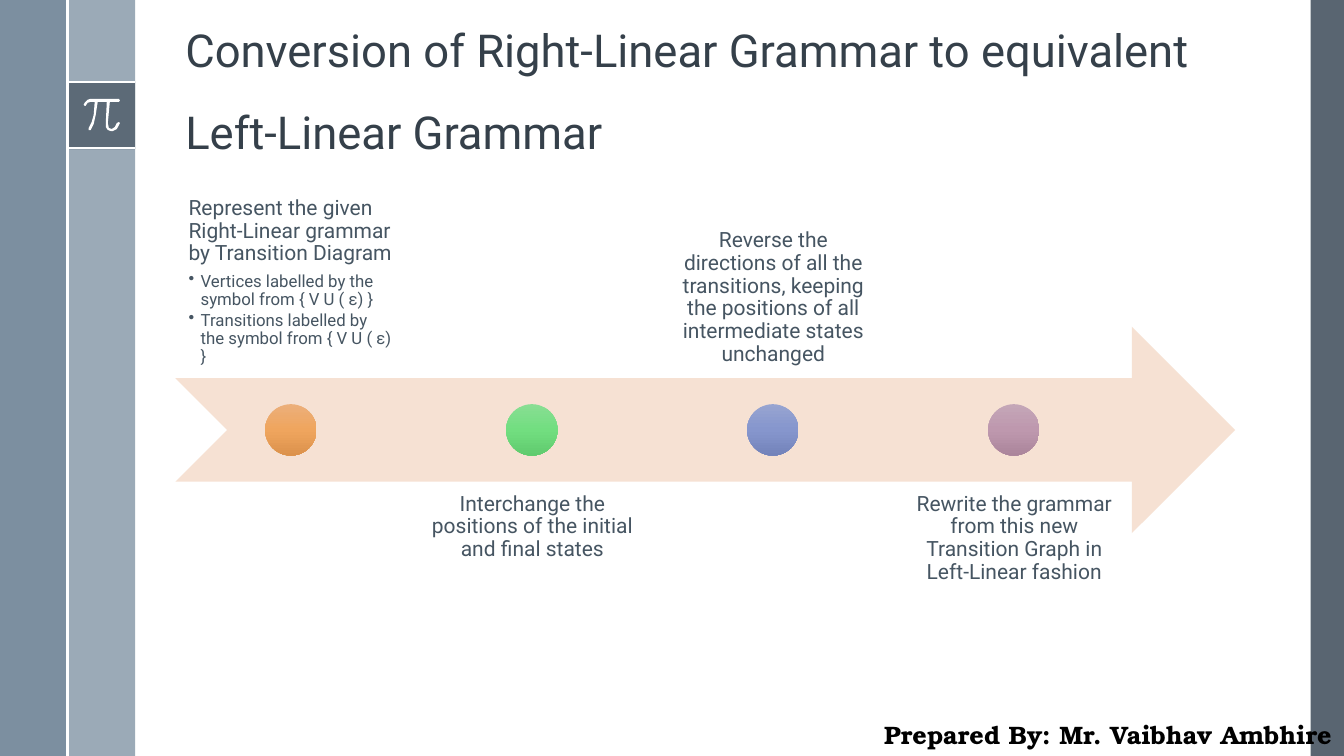
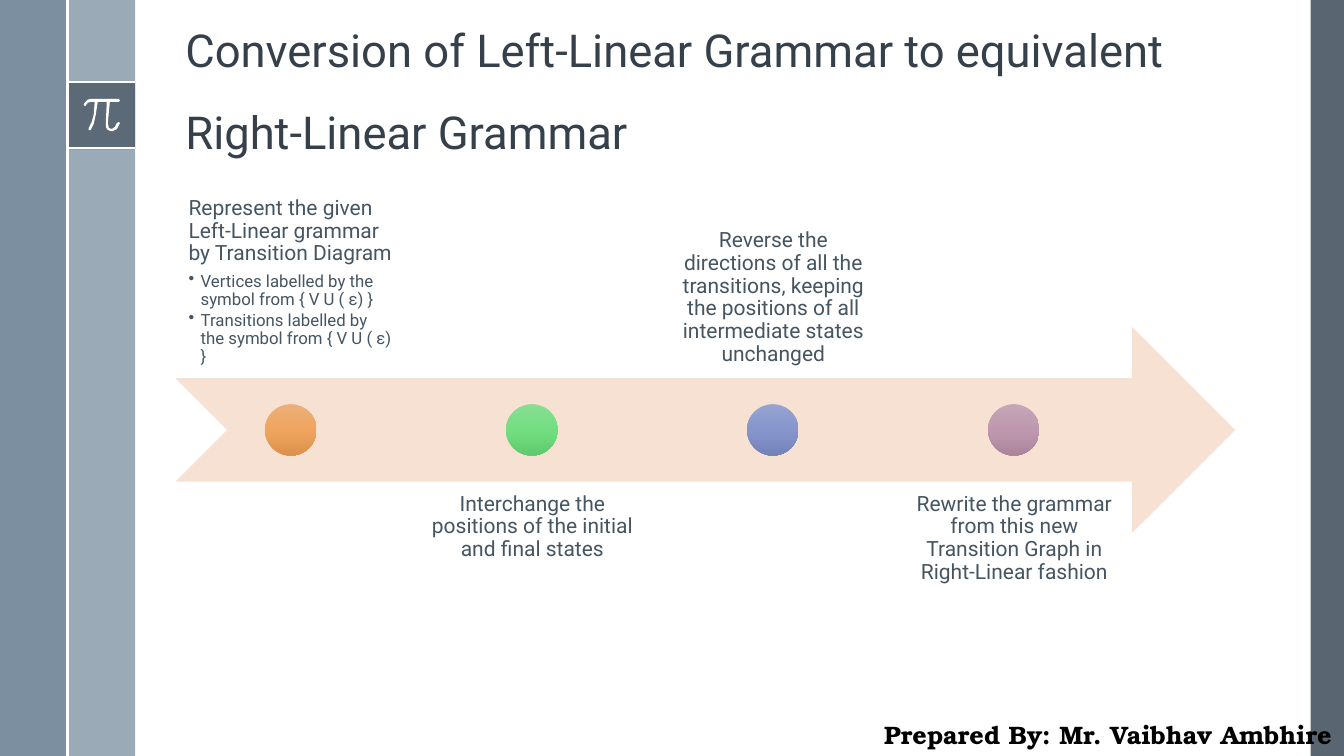
from copy import deepcopy
from dataclasses import dataclass

from lxml.etree import SubElement
from pptx import Presentation
from pptx.dml.color import RGBColor
from pptx.enum.shapes import MSO_CONNECTOR, MSO_SHAPE
from pptx.enum.text import MSO_ANCHOR, PP_ALIGN
from pptx.oxml.ns import qn
from pptx.util import Inches, Pt


@dataclass(frozen=True)
class Theme:
    """Colours, fonts and type sizes of the presentation."""

    white: str = "FFFFFF"
    slate: str = "475562"
    steel: str = "6A8093"
    mist: str = "9BAAB7"
    arrow: str = "F6E1D3"
    title: str = "35404A"
    body: str = "465562"
    footer: str = "000000"
    dots: tuple = (
        ("ECAF7A", "EFA55E", "DC924C"),
        ("88DE93", "72DE80", "60CB6E"),
        ("97A4D1", "8696CD", "7383BA"),
        ("C4A6B7", "BE98AE", "AB859B"),
    )
    font: str = "Roboto"
    footer_font: str = "TeX Gyre Bonum"
    title_size: float = 32.4
    step_size: float = 15
    bullet_size: float = 12
    footer_size: float = 18
    rule_width: float = 1.5


PI_OUTLINE = (
    (118, 98), (90, 98), (87, 99), (84, 102), (83, 104), (84, 105), (85, 105),
    (87, 102), (90, 101), (94, 101), (93, 114), (91, 121), (88, 127), (88, 129),
    (90, 129), (93, 123), (95, 114), (97, 101), (106, 101), (105, 122),
    (105, 126), (107, 129), (110, 130), (112, 130), (116, 128), (119, 122),
    (118, 121), (116, 122), (114, 126), (111, 128), (108, 127), (107, 122),
    (109, 101), (118, 101), (119, 100),
)
FOOTER = "Prepared By: Mr. Vaibhav Ambhire"
BULLETS = (
    "Vertices labelled by the symbol from { V U ( ε) }",
    "Transitions labelled by the symbol from { V U ( ε) }",
)
STEP_LEFT, STEP_PITCH = 1.75, 2.39
STEP_WIDTH, STEP_HEIGHT = 2.28, 2.05
ABOVE_TOP, BELOW_TOP = 1.7, 4.77
DOT_OFFSET, DOT_TOP, DOT_SIZE = 0.88, 4.01, 0.51


def assign(target, values):
    """Set each named attribute of the target."""
    for name, value in values.items():
        setattr(target, name, value)


class Deck:
    """Hold the theme and the current slide, and draw elements on it."""

    def __init__(self, theme):
        """Start an empty widescreen presentation."""
        self.theme = theme
        self.presentation = Presentation()
        assign(self.presentation, {"slide_width": Inches(13.33), "slide_height": Inches(7.5)})
        self.slide = None

    def paint(self, shape, color, opacity=100):
        """Give the shape a flat fill without outline or shadow."""
        shape.shadow.inherit = False
        shape.line.fill.background()
        shape.fill.solid()
        shape.fill.fore_color.rgb = RGBColor.from_string(color)
        if opacity < 100:
            color_node = shape.element.spPr.find(".//" + qn("a:srgbClr"))
            SubElement(color_node, qn("a:alpha"), val=str(opacity * 1000))

    def shape(self, kind, box, color, opacity=100):
        """Add a filled preset shape."""
        shape = self.slide.shapes.add_shape(kind, *map(Inches, box))
        self.paint(shape, color, opacity)
        return shape

    def rule(self, start, end):
        """Add a thin white line."""
        connector = self.slide.shapes.add_connector(
            MSO_CONNECTOR.STRAIGHT, *map(Inches, start + end))
        connector.line.color.rgb = RGBColor.from_string(self.theme.white)
        connector.line.width = Pt(self.theme.rule_width)
        SubElement(connector.element.spPr, qn("a:effectLst"))

    def pi_sign(self):
        """Draw the pi sign in the sidebar tile."""
        builder = self.slide.shapes.build_freeform(*PI_OUTLINE[0], scale=Inches(0.01))
        builder.add_line_segments(PI_OUTLINE[1:], close=True)
        self.paint(builder.convert_to_shape(), self.theme.white)

    def text_box(self, box, anchor=MSO_ANCHOR.TOP, inset=None):
        """Add a wrapping text box and return its frame."""
        frame = self.slide.shapes.add_textbox(*map(Inches, box)).text_frame
        assign(frame, {"word_wrap": True, "vertical_anchor": anchor})
        if inset is not None:
            sides = ("left", "top", "right", "bottom")
            assign(frame, {f"margin_{side}": Inches(inset) for side in sides})
        return frame

    def fill_paragraph(self, paragraph, text, size, color, name=None, bold=False, **layout):
        """Put one formatted run into the paragraph."""
        assign(paragraph, layout)
        run = paragraph.add_run()
        run.text = text
        assign(run.font, {"name": name or self.theme.font, "size": Pt(size), "bold": bold})
        run.font.color.rgb = RGBColor.from_string(color)

    def bullet(self, frame, text):
        """Append a bulleted paragraph to the frame."""
        paragraph = frame.add_paragraph()
        self.fill_paragraph(paragraph, text, self.theme.bullet_size, self.theme.body,
                            level=1, line_spacing=0.9, space_after=Pt(1.8))
        properties = paragraph._p.get_or_add_pPr()
        indent = Inches(0.12)
        properties.set("marL", str(indent))
        properties.set("indent", str(-indent))
        SubElement(properties, qn("a:buChar"), char="•")

    def dot(self, left, colors):
        """Add a round marker with a vertical gradient."""
        shape = self.shape(MSO_SHAPE.OVAL, (left, DOT_TOP, DOT_SIZE, DOT_SIZE), colors[0])
        shape.fill.gradient()
        shape.fill.gradient_angle = 270
        stop_list = shape.element.spPr.find(".//" + qn("a:gsLst"))
        stop_list.insert(1, deepcopy(stop_list[0]))
        for stop, position, color in zip(shape.fill.gradient_stops, (0, 0.5, 1), colors):
            stop.position = position
            stop.color.rgb = RGBColor.from_string(color)

    def step(self, index, text, bullets=()):
        """Add a process step, alternating above and below the arrow."""
        left = STEP_LEFT + index * STEP_PITCH
        top, anchor = ((BELOW_TOP, MSO_ANCHOR.TOP) if index % 2
                       else (ABOVE_TOP, MSO_ANCHOR.BOTTOM))
        frame = self.text_box((left, top, STEP_WIDTH, STEP_HEIGHT), anchor, 0.12)
        self.fill_paragraph(frame.paragraphs[0], text, self.theme.step_size, self.theme.body,
                            alignment=PP_ALIGN.LEFT if bullets else PP_ALIGN.CENTER,
                            line_spacing=0.9, space_after=Pt(5.25))
        for bullet in bullets:
            self.bullet(frame, bullet)
        self.dot(left + DOT_OFFSET, self.theme.dots[index])

    def new_slide(self, title):
        """Add a slide with the shared bands, footer and title."""
        theme = self.theme
        self.slide = self.presentation.slides.add_slide(self.presentation.slide_layouts[6])
        for box, color, opacity in (
            ((13, 0, 0.33, 7.5), theme.slate, 90),
            ((0.67, 0, 0.67, 7.5), theme.mist, 100),
            ((0, 0, 0.67, 7.5), theme.steel, 88),
            ((0.67, 0.81, 0.67, 0.67), theme.slate, 75),
        ):
            self.shape(MSO_SHAPE.RECTANGLE, box, color, opacity)
        for top in (0.81, 1.47):
            self.rule((0.67, top), (1.34, top))
        self.pi_sign()
        self.rule((0.67, 0), (0.67, 7.5))
        footer = self.text_box((8.64, 7.09, 4.7, 0.4))
        self.fill_paragraph(footer.paragraphs[0], FOOTER, theme.footer_size, theme.footer,
                            theme.footer_font, True, alignment=PP_ALIGN.CENTER)
        heading = self.text_box((1.74, 0.19, 10.7, 1.43), MSO_ANCHOR.BOTTOM)
        self.fill_paragraph(heading.paragraphs[0], title, theme.title_size, theme.title,
                            line_spacing=1.5)

    def conversion(self, source, target):
        """Build a slide that converts one grammar form to the other."""
        self.new_slide(f"Conversion of {source} Grammar to equivalent {target} Grammar")
        self.shape(MSO_SHAPE.NOTCHED_RIGHT_ARROW, (1.74, 3.24, 10.51, 2.05), self.theme.arrow)
        steps = (
            (f"Represent the given {source} grammar by Transition Diagram", BULLETS),
            ("Interchange the positions of the initial and final states", ()),
            ("Reverse the directions of all the transitions, keeping the positions "
             "of all intermediate states unchanged", ()),
            (f"Rewrite the grammar from this new Transition Graph in {target} fashion", ()),
        )
        for index, (text, bullets) in enumerate(steps):
            self.step(index, text, bullets)


def main():
    """Build both conversion slides and save them."""
    deck = Deck(Theme())
    deck.conversion("Right-Linear", "Left-Linear")
    deck.conversion("Left-Linear", "Right-Linear")
    deck.presentation.save("out.pptx")


if __name__ == "__main__":
    main()
